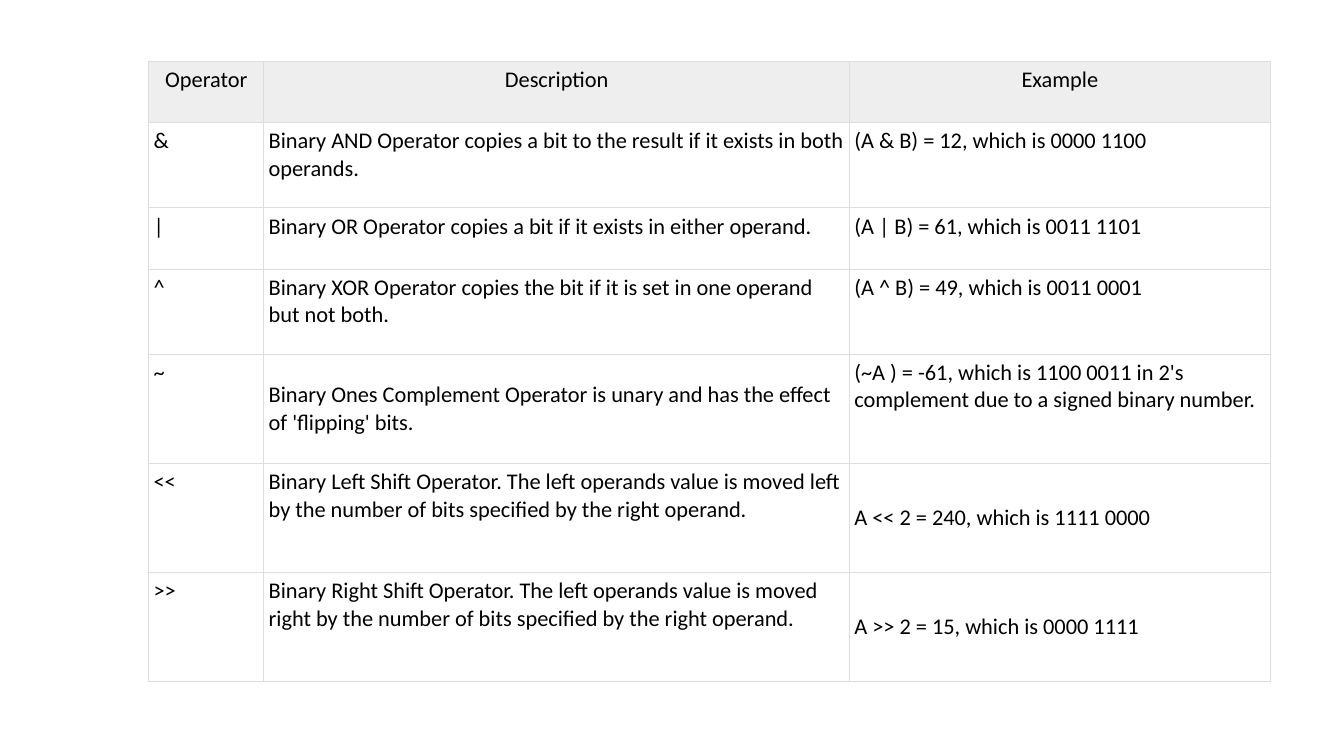
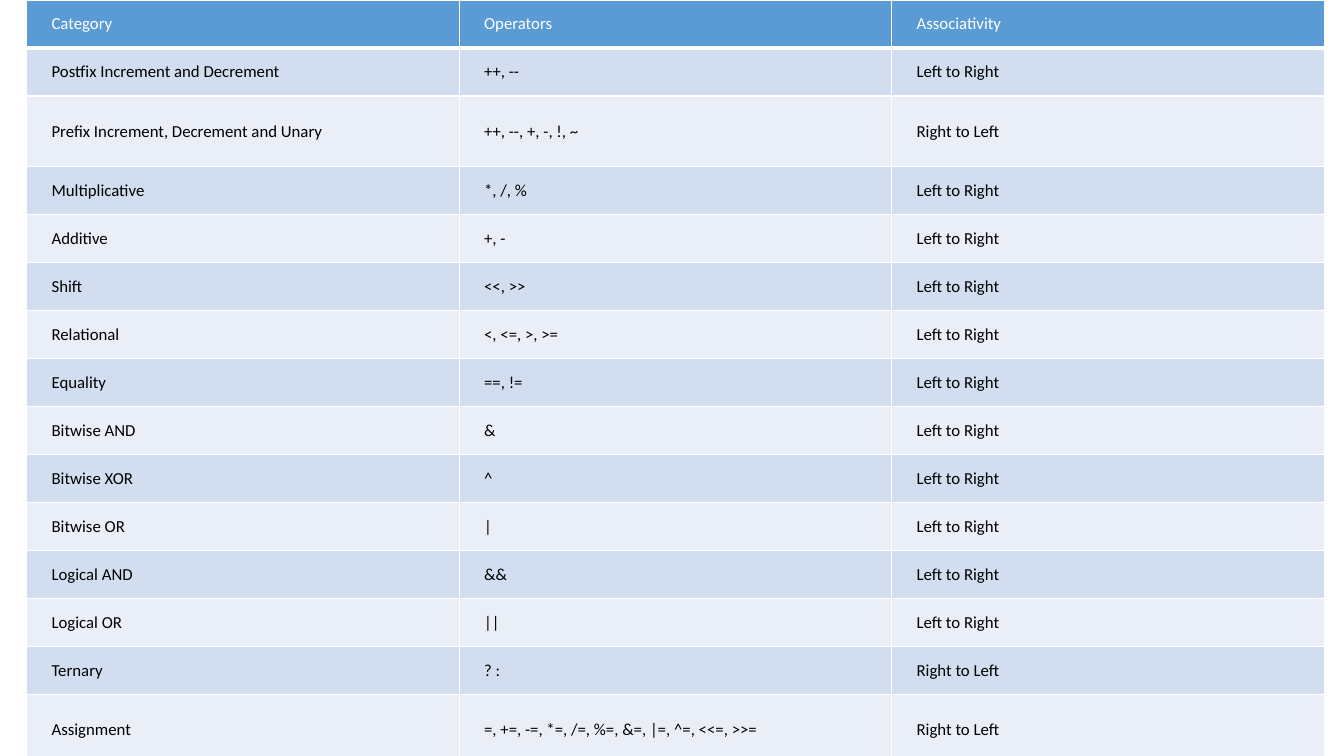
from lxml import etree
from pptx import Presentation
from pptx.dml.color import RGBColor
from pptx.enum.text import MSO_ANCHOR, PP_ALIGN
from pptx.oxml.ns import qn
from pptx.util import Cm, Pt

TOP, MIDDLE = MSO_ANCHOR.TOP, MSO_ANCHOR.MIDDLE
LEFT, CENTER = PP_ALIGN.LEFT, PP_ALIGN.CENTER
BLANK_LAYOUT = 6
FONT = "Calibri"
COLORS = {
    "text": "000000",
    "white": "FFFFFF",
    "grid": "DDDDDD",
    "gray": "EEEEEE",
    "blue": "5B9BD5",
    "band": "D2DEEF",
    "light_band": "EAEFF7",
}

BITWISE_ROWS = [
    ("Operator", "Description", "Example"),
    ("&", "Binary AND Operator copies a bit to the result if it exists in both operands.",
     "(A & B) = 12, which is 0000 1100"),
    ("|", "Binary OR Operator copies a bit if it exists in either operand.",
     "(A | B) = 61, which is 0011 1101"),
    ("^", "Binary XOR Operator copies the bit if it is set in one operand but not both.",
     "(A ^ B) = 49, which is 0011 0001"),
    ("~", "Binary Ones Complement Operator is unary and has the effect of 'flipping' bits.",
     "(~A ) = -61, which is 1100 0011 in 2's complement due to a signed binary number."),
    ("<<", "Binary Left Shift Operator. The left operands value is moved left "
     "by the number of bits specified by the right operand.",
     "A << 2 = 240, which is 1111 0000"),
    (">>", "Binary Right Shift Operator. The left operands value is moved right "
     "by the number of bits specified by the right operand.",
     "A >> 2 = 15, which is 0000 1111"),
]
LEFT_TO_RIGHT, RIGHT_TO_LEFT = "Left to Right", "Right to Left"
PRECEDENCE_ROWS = [
    ("Category", "Operators", "Associativity"),
    ("Postfix Increment and Decrement", "++, --", LEFT_TO_RIGHT),
    ("Prefix Increment, Decrement and Unary", "++, --, +, -, !, ~", RIGHT_TO_LEFT),
    ("Multiplicative", "*, /, %", LEFT_TO_RIGHT),
    ("Additive", "+, -", LEFT_TO_RIGHT),
    ("Shift", "<<, >>", LEFT_TO_RIGHT),
    ("Relational", "<, <=, >, >=", LEFT_TO_RIGHT),
    ("Equality", "==, !=", LEFT_TO_RIGHT),
    ("Bitwise AND", "&", LEFT_TO_RIGHT),
    ("Bitwise XOR", "^", LEFT_TO_RIGHT),
    ("Bitwise OR", "|", LEFT_TO_RIGHT),
    ("Logical AND", "&&", LEFT_TO_RIGHT),
    ("Logical OR", "||", LEFT_TO_RIGHT),
    ("Ternary", "? :", RIGHT_TO_LEFT),
    ("Assignment", "=, +=, -=, *=, /=, %=, &=, |=, ^=, <<=, >>=", RIGHT_TO_LEFT),
]

BITWISE_STYLE = {
    "size": 16,
    "margins": (0.12, 0.12),
    "header": {"fill": "gray", "color": "text", "align": CENTER},
    "bands": (None,),
    "anchor": TOP,
    "middle_cells": {(4, 1), (5, 2), (6, 2)},
    "border": "grid",
    "border_width": 0.75,
    "header_rule": 0.75,
}
PRECEDENCE_STYLE = {
    "size": 12,
    "margins": (0.63, 0.31),
    "header": {"fill": "blue", "color": "white", "align": LEFT},
    "bands": ("band", "light_band"),
    "anchor": MIDDLE,
    "middle_cells": set(),
    "border": "white",
    "border_width": 1,
    "header_rule": 3,
}


def rgb(name):
    return RGBColor.from_string(COLORS[name])


def apply_format(target, values):
    for name, value in values.items():
        setattr(target, name, value)


def set_borders(cell, color, widths):
    properties = cell._tc.get_or_add_tcPr()
    for side, width in widths.items():
        line = etree.SubElement(properties, qn(f"a:ln{side}"), w=str(int(Pt(width))))
        fill = etree.SubElement(line, qn("a:solidFill"))
        etree.SubElement(fill, qn("a:srgbClr"), val=COLORS[color])


def fill_cell(cell, color):
    if color is None:
        cell.fill.background()
    else:
        cell.fill.solid()
        cell.fill.fore_color.rgb = rgb(color)


def write_cell(cell, text, size, color, align):
    para = cell.text_frame.paragraphs[0]
    para.alignment = align
    span = para.add_run()
    span.text = text
    apply_format(span.font, {"name": FONT, "size": Pt(size), "bold": False})
    span.font.color.rgb = rgb(color)


def format_cell(cell, row, column, style):
    side_margin, end_margin = map(Cm, style["margins"])
    middle = (row, column) in style["middle_cells"]
    apply_format(cell, {
        "margin_left": side_margin,
        "margin_right": side_margin,
        "margin_top": end_margin,
        "margin_bottom": end_margin,
        "vertical_anchor": MIDDLE if middle else style["anchor"],
    })
    width, rule = style["border_width"], style["header_rule"]
    set_borders(cell, style["border"], {
        "L": width,
        "R": width,
        "T": rule if row == 1 else width,
        "B": rule if row == 0 else width,
    })


def add_table_page(deck, rows, left, top, widths, heights, style):
    page = deck.slides.add_slide(deck.slide_layouts[BLANK_LAYOUT])
    table = page.shapes.add_table(
        len(rows), len(widths), Cm(left), Cm(top), Cm(sum(widths)), Cm(sum(heights))
    ).table
    table.horz_banding = False
    for column, width in zip(table.columns, widths):
        column.width = Cm(width)
    for line, height in zip(table.rows, heights):
        line.height = Cm(height)
    bands = style["bands"]
    for row, texts in enumerate(rows):
        body = {"fill": bands[(row - 1) % len(bands)], "color": "text", "align": LEFT}
        look = style["header"] if row == 0 else body
        for column, text in enumerate(texts):
            cell = table.cell(row, column)
            format_cell(cell, row, column, style)
            fill_cell(cell, look["fill"])
            write_cell(cell, text, style["size"], look["color"], look["align"])


def main():
    deck = Presentation()
    apply_format(deck, {"slide_width": Cm(33.87), "slide_height": Cm(19.05)})
    add_table_page(
        deck, BITWISE_ROWS, 3.75, 1.55, [2.9, 14.76, 10.6],
        [1.54, 2.15, 1.54, 2.15] + [2.75] * 3, BITWISE_STYLE,
    )
    tall_rows = (2, len(PRECEDENCE_ROWS) - 1)
    heights = [1.78 if row in tall_rows else 1.21 for row in range(len(PRECEDENCE_ROWS))]
    add_table_page(
        deck, PRECEDENCE_ROWS, 0.67, 0, [10.9] * 3, heights, PRECEDENCE_STYLE,
    )
    deck.save("out.pptx")


if __name__ == "__main__":
    main()
